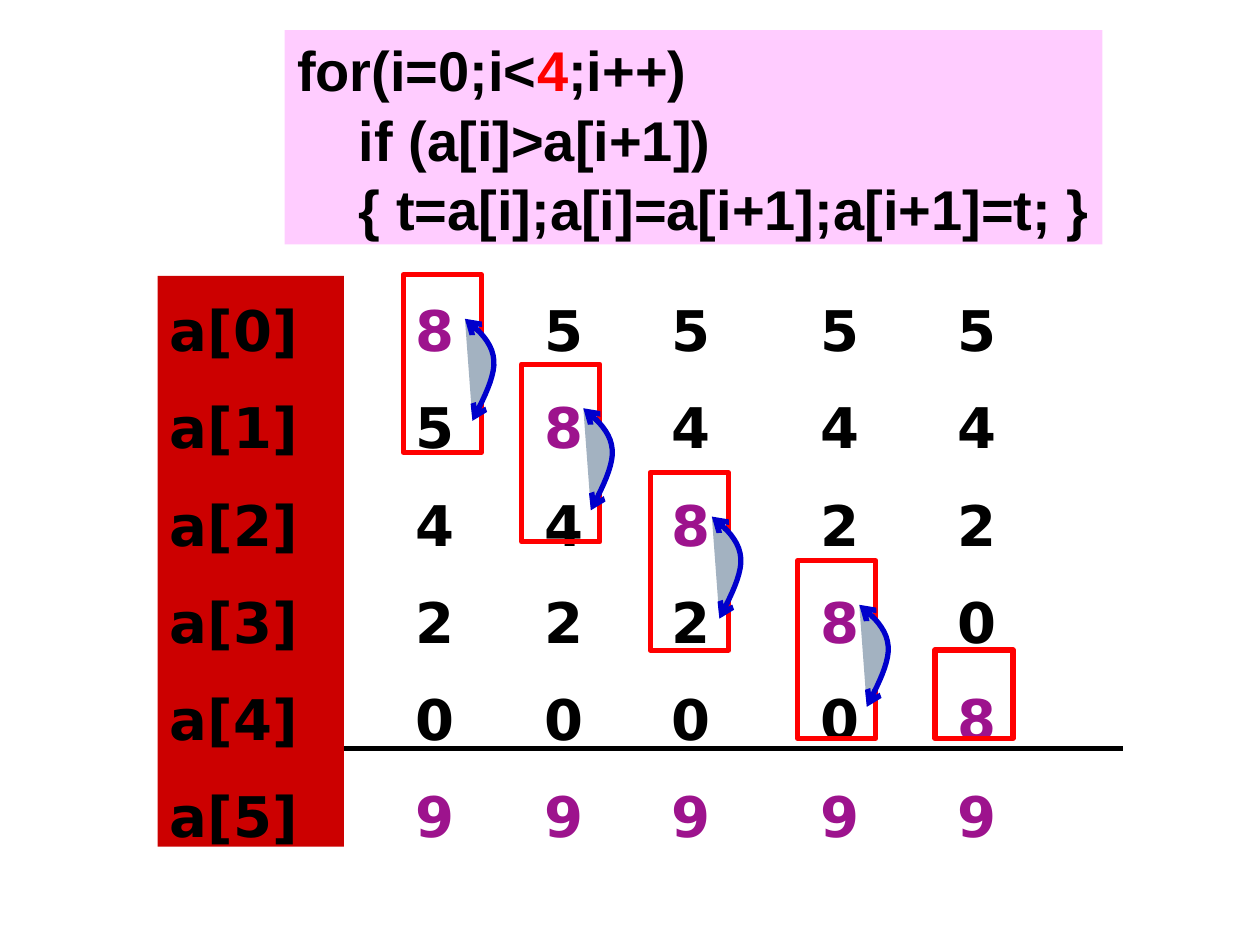
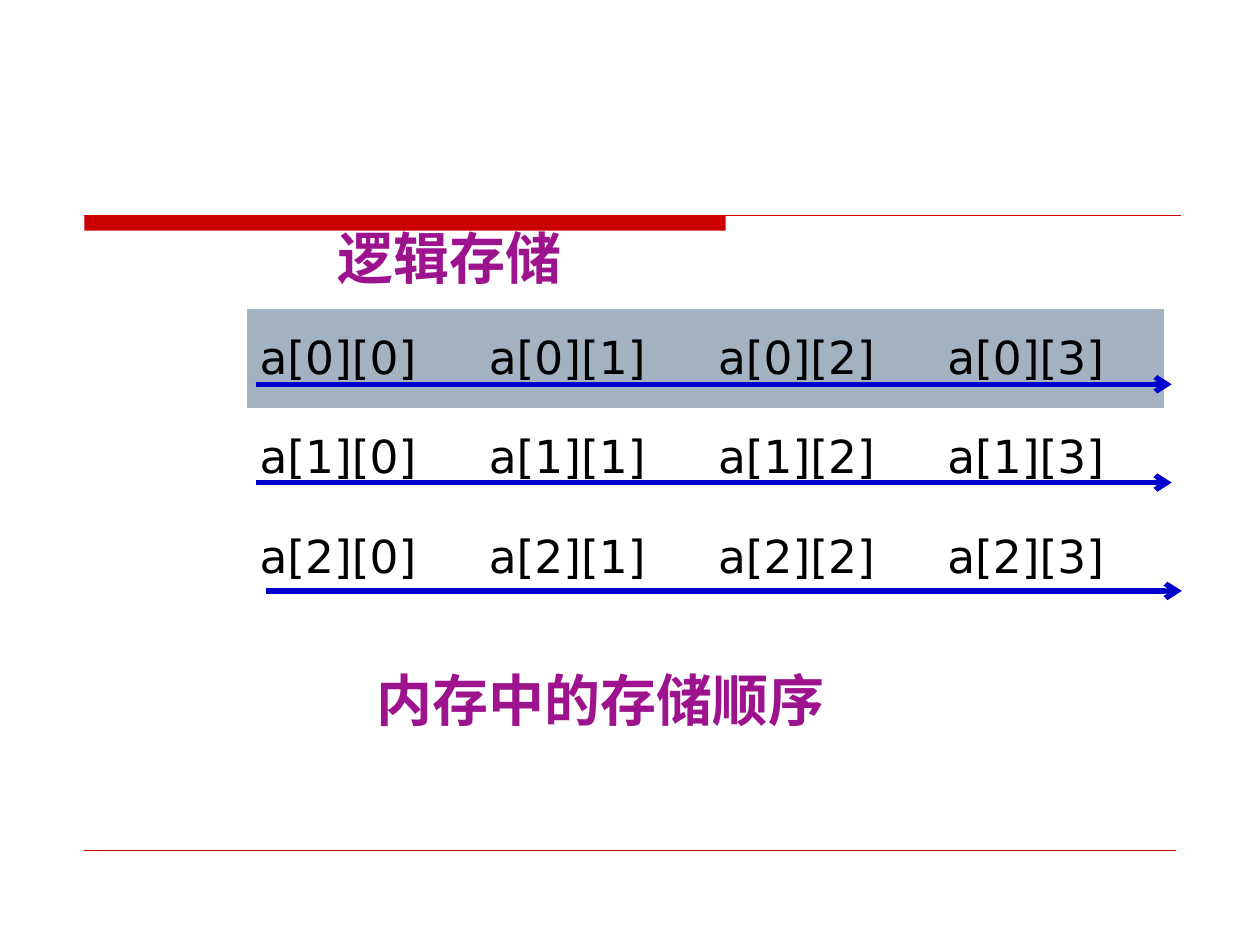
"""Build two slides on array sorting passes and two-dimensional array storage."""
from lxml.etree import SubElement
from pptx import Presentation
from pptx.dml.color import RGBColor
from pptx.enum.shapes import MSO_CONNECTOR, MSO_SHAPE
from pptx.enum.text import MSO_ANCHOR, MSO_AUTO_SIZE, PP_ALIGN
from pptx.oxml.ns import qn
from pptx.util import Inches, Pt

COLORS = {
    "black": "000000", "white": "FFFFFF", "red": "FF0000", "band": "CC0000",
    "purple": "9D138D", "blue": "0000CC", "gray": "A3B2C1", "pink": "FFCCFF",
}
TITLE_ONLY, BLANK = 5, 6
NO_GRID_STYLE = "{2D5ABB26-0587-4C30-8999-92F81FD0307C}"
COLUMN_LEFTS = [3.2, 4.22, 5.23, 6.41, 7.5]
PAIR_BOXES = [(3.2, 2.18), (4.14, 2.89), (5.16, 3.75), (6.33, 4.45), (7.42, 5.16)]
SWAP_CURVES = [
    [(0.06, 0.81), (0.15, 0.63), (0.24, 0.46), (0.23, 0.33)],
    [(0.23, 0.33), (0.22, 0.19), (0.11, 0.09), (0, 0)],
]


def color(name):
    return RGBColor.from_string(COLORS[name])


def add_run(paragraph, text, size=32, font="DejaVu Sans", fill="black", bold=True):
    run = paragraph.add_run()
    run.text = text
    run.font.size = Pt(size)
    run.font.name = font
    run.font.bold = bold
    run.font.color.rgb = color(fill)


def next_paragraph(frame, index):
    return frame.add_paragraph() if index else frame.paragraphs[0]


def add_text_box(slide, left, top, width, height):
    frame = slide.shapes.add_textbox(
        Inches(left), Inches(top), Inches(width), Inches(height)).text_frame
    frame.word_wrap = True
    return frame


def add_box(slide, left, top, width, height, fill=None, line=None,
            kind=MSO_SHAPE.RECTANGLE):
    shape = slide.shapes.add_shape(
        kind, Inches(left), Inches(top), Inches(width), Inches(height))
    shape.shadow.inherit = False
    if fill:
        shape.fill.solid()
        shape.fill.fore_color.rgb = color(fill)
    else:
        shape.fill.background()
    if line:
        shape.line.color.rgb = color(line)
        shape.line.width = Pt(3)
    else:
        shape.line.fill.background()
    return shape


def add_arrowheads(shape, *ends):
    line = shape.line._get_or_add_ln()
    for end in ends:
        SubElement(line, qn(f"a:{end}"), type="arrow")


def add_line(slide, left, right, y, fill, width):
    connector = slide.shapes.add_connector(
        MSO_CONNECTOR.STRAIGHT, Inches(left), Inches(y), Inches(right), Inches(y))
    connector.line.color.rgb = color(fill)
    connector.line.width = Pt(width)
    SubElement(connector._element.spPr, qn("a:effectLst"))
    return connector


def bezier_point(points, t):
    weights = ((1 - t) ** 3, 3 * t * (1 - t) ** 2, 3 * t ** 2 * (1 - t), t ** 3)
    return tuple(sum(w * point[axis] for w, point in zip(weights, points))
                 for axis in (0, 1))


def add_swap_arrow(slide, left, top):
    steps = 10
    points = [bezier_point(curve, step / steps)
              for curve in SWAP_CURVES for step in range(1, steps + 1)]
    vertices = [(Inches(left + x), Inches(top + y))
                for x, y in [SWAP_CURVES[0][0]] + points]
    builder = slide.shapes.build_freeform(*vertices[0])
    builder.add_line_segments(vertices[1:], close=False)
    shape = builder.convert_to_shape()
    shape.shadow.inherit = False
    shape.fill.solid()
    shape.fill.fore_color.rgb = color("gray")
    shape.line.color.rgb = color("blue")
    shape.line.width = Pt(3)
    add_arrowheads(shape, "headEnd", "tailEnd")


def fill_column(frame, entries, highlights=()):
    frame.vertical_anchor = MSO_ANCHOR.TOP
    for index, entry in enumerate(entries):
        paragraph = next_paragraph(frame, index)
        paragraph.alignment = PP_ALIGN.LEFT
        paragraph.line_spacing = 1.2
        paragraph.space_before = Pt(9.5)
        add_run(paragraph, str(entry), fill="purple" if entry in highlights else "black")


def add_code_panel(slide):
    code_lines = [
        (0, [("for(i=0;i<", "black"), ("4", "red"), (";i++)", "black")]),
        (0.49, [("if (a[i]>a[i+1])", "black")]),
        (0.49, [("{ t=a[i];a[i]=a[i+1];a[i+1]=t; }", "black")]),
    ]
    frame = add_box(slide, 2.26, 0.24, 6.49, 1.7, fill="pink").text_frame
    frame.word_wrap = False
    for index, (indent, runs) in enumerate(code_lines):
        paragraph = next_paragraph(frame, index)
        paragraph.alignment = PP_ALIGN.LEFT
        paragraph.line_spacing = 1.04
        paragraph._p.get_or_add_pPr().set("marL", str(Inches(indent)))
        for text, fill in runs:
            add_run(paragraph, text, font="Arial", fill=fill)


def build_sorting_slide(presentation):
    slide = presentation.slides.add_slide(presentation.slide_layouts[BLANK])
    add_line(slide, 2.58, 8.91, 5.94, "black", 3)
    values = [8, 5, 4, 2, 0, 9]
    last = len(COLUMN_LEFTS) - 1
    for step, (left, (box_left, box_top)) in enumerate(zip(COLUMN_LEFTS, PAIR_BOXES)):
        fill_column(add_text_box(slide, left, 2.19, 0.78, 4.53), values, (8, 9))
        add_box(slide, box_left, box_top, 0.62, 0.7 if step == last else 1.41,
                line="red", kind=MSO_SHAPE.FLOWCHART_PROCESS)
        if step < last:
            add_swap_arrow(slide, box_left + 0.49, box_top + 0.35)
            values[step], values[step + 1] = values[step + 1], values[step]
    labels = add_box(slide, 1.25, 2.19, 1.48, 4.53, fill="band").text_frame
    fill_column(labels, [f"a[{index}]" for index in range(len(values))])
    add_code_panel(slide)


def add_index_table(slide, rows, columns):
    table = slide.shapes.add_table(
        rows, columns, Inches(1.96), Inches(2.45), Inches(7.28), Inches(2.37)).table
    table.first_row = table.horz_banding = False
    table._tbl.tblPr.find(qn("a:tableStyleId")).text = NO_GRID_STYLE
    for row in range(rows):
        for column in range(columns):
            cell = table.cell(row, column)
            cell.vertical_anchor = MSO_ANCHOR.MIDDLE
            cell.fill.solid()
            cell.fill.fore_color.rgb = color("white" if row else "gray")
            add_run(cell.text_frame.paragraphs[0], f"a[{row}][{column}]",
                    size=26, bold=False)


def add_title(slide, text, left, top, width, height):
    title = slide.shapes.title
    title.left, title.top = Inches(left), Inches(top)
    title.width, title.height = Inches(width), Inches(height)
    frame = title.text_frame
    frame.auto_size = MSO_AUTO_SIZE.NONE
    frame.vertical_anchor = MSO_ANCHOR.TOP
    paragraph = frame.paragraphs[0]
    paragraph.alignment = PP_ALIGN.LEFT
    add_run(paragraph, text, font="Arial", fill="purple")


def build_storage_slide(presentation):
    slide = presentation.slides.add_slide(presentation.slide_layouts[TITLE_ONLY])
    add_box(slide, 0.67, 1.71, 5.09, 0.12, fill="band")
    add_line(slide, 0.67, 9.37, 1.71, "band", 0.75)
    add_line(slide, 0.67, 9.33, 6.75, "band", 0.25)
    add_title(slide, "逻辑存储", 2.58, 1.72, 3.67, 0.64)
    add_index_table(slide, 3, 4)
    for left, y in [(2.03, 3.05), (2.03, 3.83), (2.11, 4.69)]:
        add_arrowheads(add_line(slide, left, left + 7.27, y, "blue", 3), "tailEnd")
    caption = add_text_box(slide, 2.89, 5.23, 4.77, 0.64)
    add_run(caption.paragraphs[0], "内存中的存储顺序", font="Arial", fill="purple")


def main():
    presentation = Presentation()
    presentation.slide_width = Inches(10)
    presentation.slide_height = Inches(7.5)
    build_sorting_slide(presentation)
    build_storage_slide(presentation)
    presentation.save("out.pptx")


if __name__ == "__main__":
    main()
